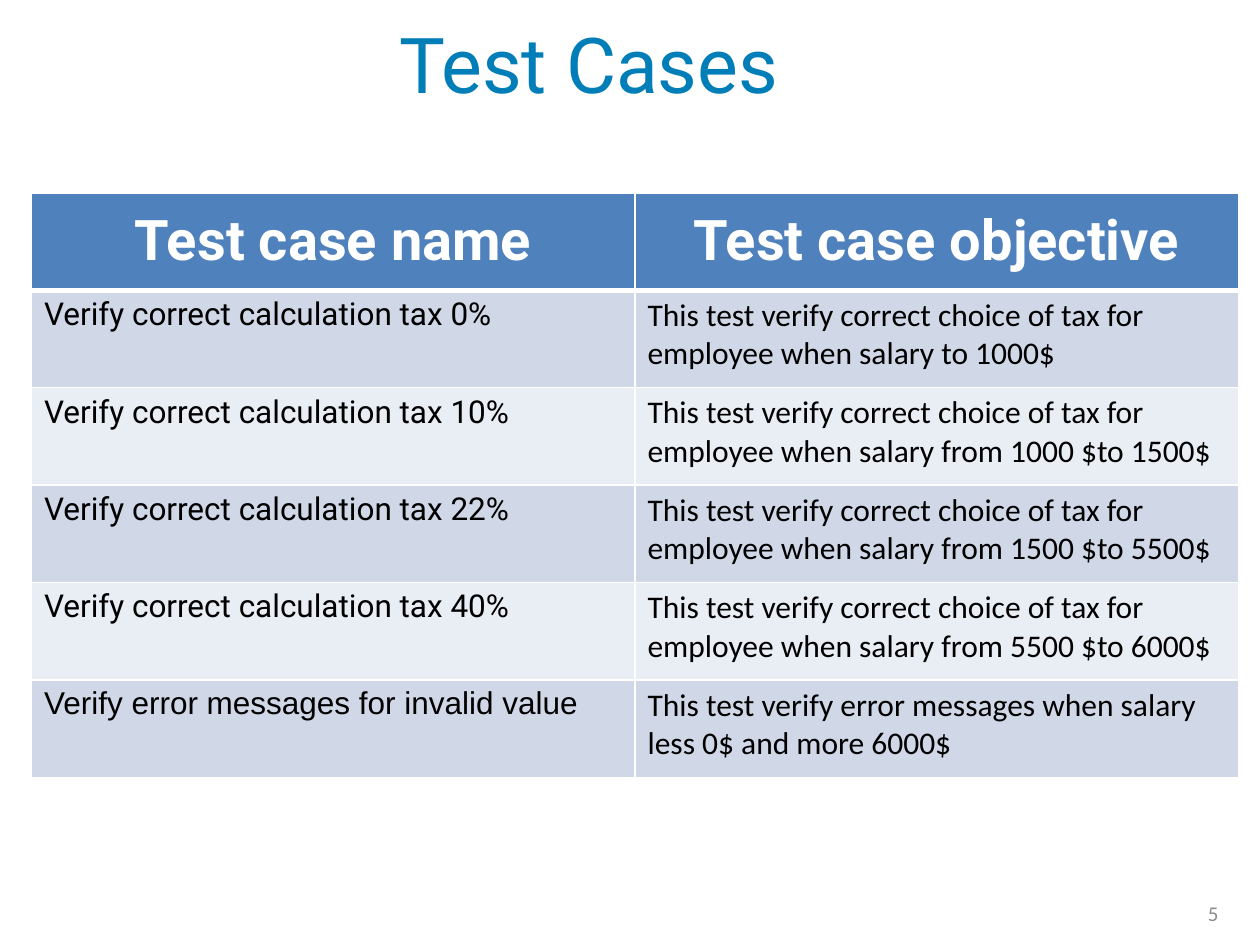
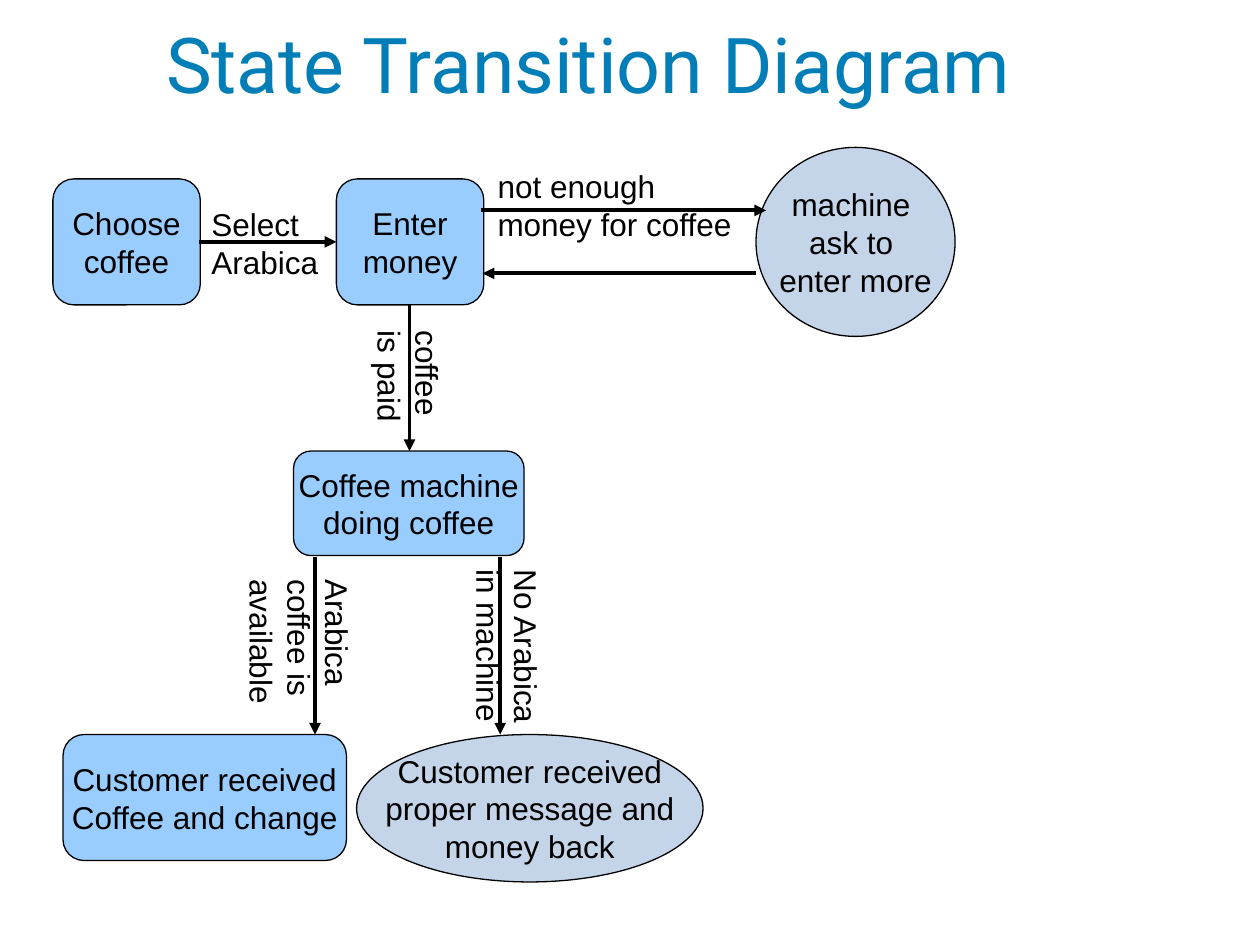
import pptx
import pptx.dml.color
import pptx.enum.shapes
import pptx.enum.text
import pptx.oxml
import pptx.oxml.ns
import pptx.util
from dataclasses import dataclass

Inches, Pt = pptx.util.Inches, pptx.util.Pt
SHAPES = pptx.enum.shapes.MSO_SHAPE
ALIGN = pptx.enum.text.PP_ALIGN
ANCHOR = pptx.enum.text.MSO_ANCHOR
FIT = pptx.enum.text.MSO_AUTO_SIZE


@dataclass(frozen=True)
class Theme:
    title: str = "017EB8"
    ink: str = "000000"
    white: str = "FFFFFF"
    page: str = "8C8C8C"
    header: str = "4F81BD"
    bands: tuple = ("D0D8E8", "E9EDF4")
    step: str = "99CCFF"
    message: str = "C5D5E9"
    title_font: str = "Roboto"
    table_font: str = "Calibri"
    diagram_font: str = "Arial"
    title_size: int = 44
    header_size: int = 32
    body_size: int = 18
    page_size: int = 12
    outline: float = 0.75
    arrow: float = 2.25


THEME = Theme()

TEST_CASES_TITLE = "Test Cases "
PAGE_NUMBER = "5"
HEADINGS = ("Test case name", "Test case objective")
CHOICE = "This test verify correct choice of tax for employee when salary "
# name, font of the name, objective
TEST_CASES = [
    ("Verify correct calculation tax 0%", "Roboto", CHOICE + "to 1000$"),
    ("Verify correct calculation tax 10%", "Roboto", CHOICE + "from 1000 $to 1500$"),
    ("Verify correct calculation tax 22%", "Roboto", CHOICE + "from 1500 $to 5500$"),
    ("Verify correct calculation tax 40%", "Roboto", CHOICE + "from 5500 $to 6000$"),
    ("Verify error messages for invalid value", "Arial",
     "This test verify error messages when salary less 0$ and more 6000$"),
]
TABLE_BOX = (0.25, 1.53, 9.58, 4.64)

DIAGRAM_TITLE = "State Transition Diagram "
# lines, box
STEPS = [
    (["Choose", "coffee"], (0.42, 1.42, 1.17, 1)),
    (["Enter", "money"], (2.67, 1.42, 1.17, 1)),
    (["Coffee machine", "doing coffee"], (2.33, 3.58, 1.83, 0.83)),
    (["Customer received", "Coffee and change"], (0.5, 5.83, 2.25, 1)),
]
MESSAGES = [
    (["machine ", "ask to ", "enter more"], (6, 1.17, 1.58, 1.5)),
    (["Customer received", "proper message and", "money back"], (2.83, 5.83, 2.75, 1.17)),
]
# start, end
TRANSITIONS = [
    ((1.58, 1.92), (2.67, 1.92)),
    ((3.82, 1.67), (6.08, 1.67)),
    ((6, 2.17), (3.83, 2.17)),
    ((3.25, 2.42), (3.25, 3.58)),
    ((2.5, 4.42), (2.5, 5.83)),
    ((3.97, 4.42), (3.97, 5.83)),
]
# lines, box, direction, wraps
CONDITIONS = [
    (["Select", "Arabica"], (1.58, 1.58, 1.05, 0.7), "across", False),
    (["not enough", "money for coffee"], (3.85, 1.28, 2.08, 0.7), "across", True),
    (["coffee", "is paid"], (2.77, 2.65, 0.95, 0.7), "turned", False),
    (["Arabica", "coffee is", "available"], (1.78, 4.5, 1.1, 1.1), "vertical", False),
    (["No Arabica", "in machine"], (3.57, 4.42, 0.81, 1.34), "vertical", False),
]


def rgb(color):
    return pptx.dml.color.RGBColor.from_string(color)


def inches(values):
    return [Inches(value) for value in values]


def write(frame, lines, size, font, color, align=ALIGN.LEFT, bold=False):
    """Put one paragraph per line into a text frame."""
    frame.text = "\n".join(lines)
    for paragraph in frame.paragraphs:
        paragraph.alignment = align
        paragraph.font.size = Pt(size)
        paragraph.font.name = font
        paragraph.font.bold = bold
        paragraph.font.color.rgb = rgb(color)


def add_text(slide, box, lines, size, font, color, align=ALIGN.LEFT,
             anchor=ANCHOR.TOP, wrap=True):
    label = slide.shapes.add_textbox(*inches(box))
    write(label.text_frame, lines, size, font, color, align)
    label.text_frame.word_wrap = wrap
    label.text_frame.vertical_anchor = anchor
    return label


def add_titled_slide(deck, title):
    slide = deck.slides.add_slide(deck.slide_layouts[6])
    add_text(slide, (0.25, 0, 9, 1), [title], THEME.title_size, THEME.title_font,
             THEME.title, ALIGN.CENTER, ANCHOR.MIDDLE)
    return slide


def add_borders(cell, bottom):
    """Draw white cell edges; must run before the cell gets its fill."""
    for side, width in (("L", 1), ("R", 1), ("T", 1), ("B", bottom)):
        cell._tc.get_or_add_tcPr().append(pptx.oxml.parse_xml(
            f'<a:ln{side} {pptx.oxml.ns.nsdecls("a")} w="{Pt(width)}"><a:solidFill>'
            f'<a:srgbClr val="{THEME.white}"/></a:solidFill></a:ln{side}>'))


def fill_cell(cell, text, fill, size, font, color, header=False):
    add_borders(cell, 3 if header else 1)
    cell.fill.solid()
    cell.fill.fore_color.rgb = rgb(fill)
    cell.vertical_anchor = ANCHOR.MIDDLE if header else ANCHOR.TOP
    write(cell.text_frame, [text], size, font, color,
          ALIGN.CENTER if header else ALIGN.LEFT, header)


def add_test_case_table(slide):
    table = slide.shapes.add_table(len(TEST_CASES) + 1, len(HEADINGS),
                                   *inches(TABLE_BOX)).table
    for column, heading in enumerate(HEADINGS):
        fill_cell(table.cell(0, column), heading, THEME.header, THEME.header_size,
                  THEME.title_font, THEME.white, header=True)
    for row, (name, name_font, objective) in enumerate(TEST_CASES, 1):
        band = THEME.bands[(row - 1) % 2]
        for column, (text, font) in enumerate(
                [(name, name_font), (objective, THEME.table_font)]):
            fill_cell(table.cell(row, column), text, band, THEME.body_size, font, THEME.ink)


def add_state(slide, kind, lines, box, fill):
    state = slide.shapes.add_shape(kind, *inches(box))
    state.shadow.inherit = False
    state.fill.solid()
    state.fill.fore_color.rgb = rgb(fill)
    state.line.color.rgb = rgb(THEME.ink)
    state.line.width = Pt(THEME.outline)
    write(state.text_frame, lines, THEME.body_size, THEME.diagram_font, THEME.ink, ALIGN.CENTER)
    state.text_frame.word_wrap = False
    state.text_frame.vertical_anchor = ANCHOR.MIDDLE


def add_transition(slide, start, end):
    arrow = slide.shapes.add_connector(pptx.enum.shapes.MSO_CONNECTOR.STRAIGHT,
                                       *inches(start + end))
    arrow.line.color.rgb = rgb(THEME.ink)
    arrow.line.width = Pt(THEME.arrow)
    namespace = pptx.oxml.ns.nsdecls("a")
    arrow.line._get_or_add_ln().append(
        pptx.oxml.parse_xml(f'<a:tailEnd {namespace} type="triangle"/>'))
    arrow._element.spPr.append(pptx.oxml.parse_xml(f'<a:effectLst {namespace}/>'))


def add_condition(slide, lines, box, direction, wraps):
    condition = add_text(slide, box, lines, THEME.body_size, THEME.diagram_font,
                         THEME.ink, wrap=wraps)
    condition.text_frame.auto_size = FIT.SHAPE_TO_FIT_TEXT
    if direction == "turned":
        condition.rotation = 90
    elif direction == "vertical":
        condition.text_frame._txBody.bodyPr.set("vert", "eaVert")


def build_test_cases(deck):
    slide = add_titled_slide(deck, TEST_CASES_TITLE)
    add_text(slide, (7.44, 7.05, 2.33, 0.39), [PAGE_NUMBER], THEME.page_size,
             THEME.table_font, THEME.page, ALIGN.RIGHT, ANCHOR.MIDDLE)
    add_test_case_table(slide)


def build_diagram(deck):
    slide = add_titled_slide(deck, DIAGRAM_TITLE)
    for lines, box in STEPS:
        add_state(slide, SHAPES.ROUNDED_RECTANGLE, lines, box, THEME.step)
    for lines, box in MESSAGES:
        add_state(slide, SHAPES.OVAL, lines, box, THEME.message)
    for start, end in TRANSITIONS:
        add_transition(slide, start, end)
    for condition in CONDITIONS:
        add_condition(slide, *condition)


def main():
    deck = pptx.Presentation()
    deck.slide_width, deck.slide_height = inches((10, 7.5))
    build_test_cases(deck)
    build_diagram(deck)
    deck.save("out.pptx")


if __name__ == "__main__":
    main()
